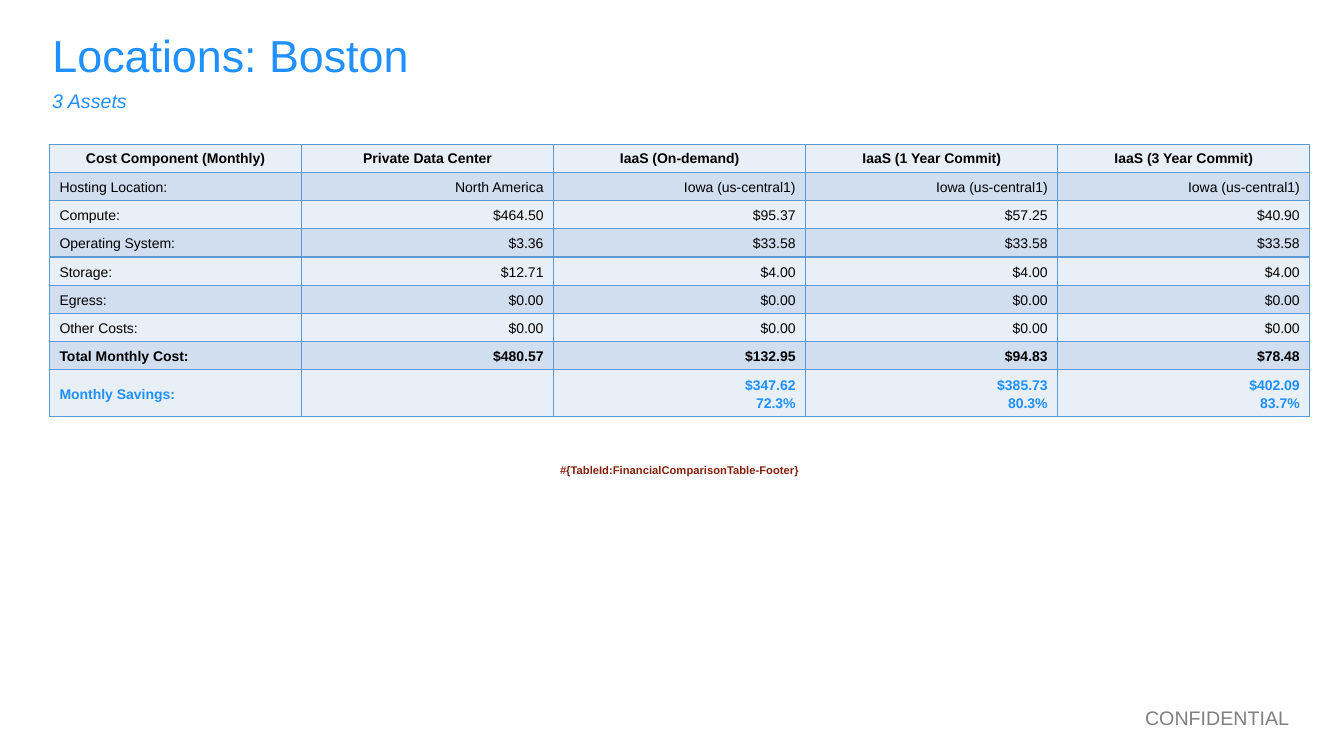
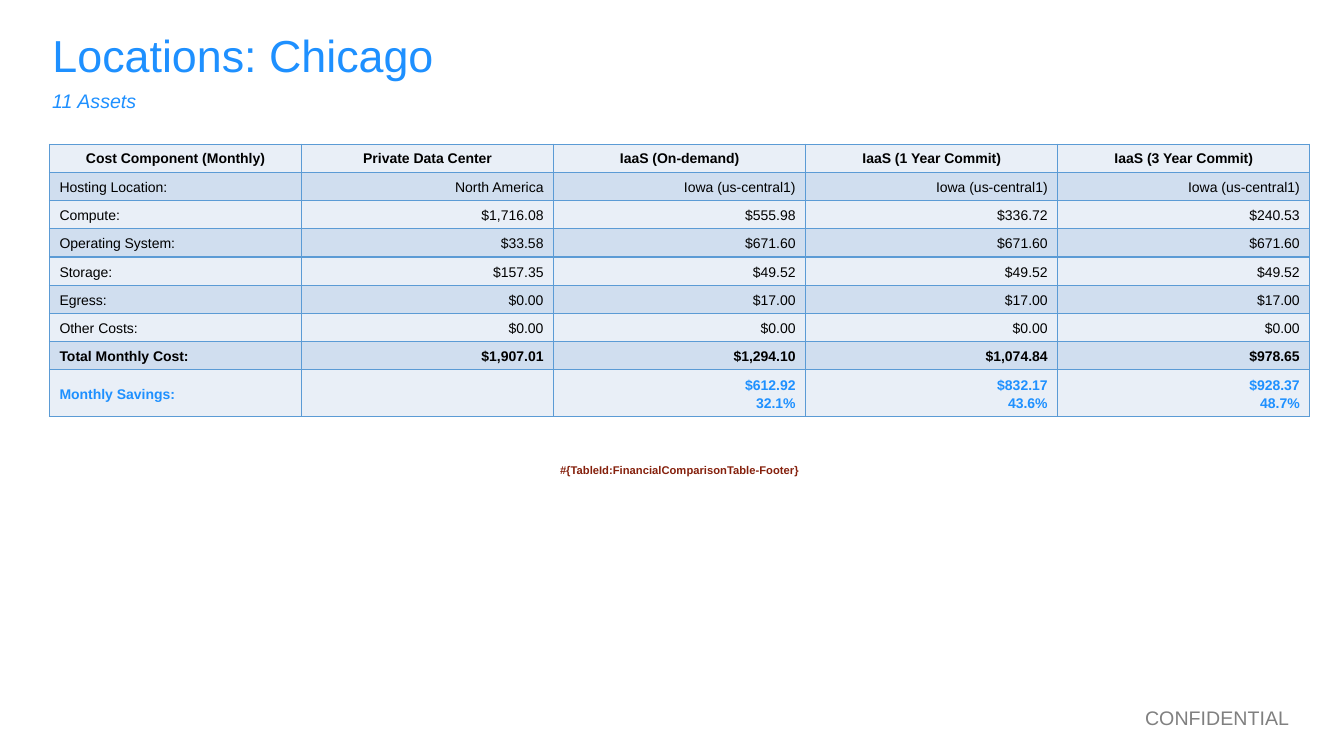
import pptx
import pptx.util
import pptx.dml.color
import pptx.enum.text
import pptx.oxml
import pptx.oxml.ns

Inches, Pt = pptx.util.Inches, pptx.util.Pt
ALIGN = pptx.enum.text.PP_ALIGN
ANCHOR = pptx.enum.text.MSO_ANCHOR

WIDE, HIGH = 13.33, 7.5
COL, ROW = 2.5, 0.28
SAVE_ROW, GAP_ROW = 0.46, 0.39

HUES = {
    "blue": "1E90FF", "grey": "808080", "brown": "85200C", "ink": "000000",
    "line": "5B9BD5", "pale": "E9EFF7", "band": "D0DEEF", "white": "FFFFFF",
}
FONTS = {
    "title": {"size": Pt(32), "hue": "blue"},
    "count": {"size": Pt(14), "hue": "blue", "italic": True},
    "mark": {"size": Pt(14), "hue": "grey"},
    "cell": {"size": Pt(10), "hue": "ink", "bold": False},
    "strong": {"size": Pt(10), "hue": "ink", "bold": True},
    "save": {"size": Pt(10), "hue": "blue", "bold": True},
    "note": {"size": Pt(8), "hue": "brown", "bold": True},
}
BOXES = {
    "title": (0.42, 0.17, 12.5, 0.88),
    "count": (0.42, 0.78, 12.5, 0.88),
    "table": (0.49, 1.43, 5 * COL, 9 * ROW + SAVE_ROW + GAP_ROW),
    "mark": (0.8 * WIDE, 6.95, WIDE / 6, 0.34),
}

HEADS = ["Cost Component (Monthly)", "Private Data Center", "IaaS (On-demand)",
         "IaaS (1 Year Commit)", "IaaS (3 Year Commit)"]
LABELS = ["Hosting Location:", "Compute:", "Operating System:", "Storage:",
          "Egress:", "Other Costs:", "Total Monthly Cost:", "Monthly Savings:"]
HOSTS = ["North America"] + 3 * ["Iowa (us-central1)"]
NOTE = "#{TableId:FinancialComparisonTable-Footer}"
SITES = [
    ("Boston", 3, [
        HOSTS,
        ["$464.50", "$95.37", "$57.25", "$40.90"],
        ["$3.36"] + 3 * ["$33.58"],
        ["$12.71"] + 3 * ["$4.00"],
        4 * ["$0.00"],
        4 * ["$0.00"],
        ["$480.57", "$132.95", "$94.83", "$78.48"],
        ["", "$347.62\n72.3%", "$385.73\n80.3%", "$402.09\n83.7%"],
    ]),
    ("Chicago", 11, [
        HOSTS,
        ["$1,716.08", "$555.98", "$336.72", "$240.53"],
        ["$33.58"] + 3 * ["$671.60"],
        ["$157.35"] + 3 * ["$49.52"],
        ["$0.00"] + 3 * ["$17.00"],
        4 * ["$0.00"],
        ["$1,907.01", "$1,294.10", "$1,074.84", "$978.65"],
        ["", "$612.92\n32.1%", "$832.17\n43.6%", "$928.37\n48.7%"],
    ]),
]


def color(name):
    return pptx.dml.color.RGBColor.from_string(HUES[name])


def write(frame, text, style, align=ALIGN.LEFT, space=None):
    """Fill a text frame, one paragraph for each line of the text."""
    frame.text = text
    for para in frame.paragraphs:
        para.alignment = align
        para.line_spacing = space
        for run in para.runs:
            run.font.name = "Arial"
            for key, value in FONTS[style].items():
                if key == "hue":
                    run.font.color.rgb = color(value)
                else:
                    setattr(run.font, key, value)


def fit(shape, name, inset):
    """Place a text shape in its named box, with text at the top."""
    for key, value in zip(("left", "top", "width", "height"), BOXES[name]):
        setattr(shape, key, Inches(value))
    frame = shape.text_frame
    form = {"word_wrap": True, "vertical_anchor": ANCHOR.TOP,
            "auto_size": pptx.enum.text.MSO_AUTO_SIZE.NONE,
            "margin_left": Inches(0.1), "margin_right": Inches(0.1),
            "margin_top": Inches(inset), "margin_bottom": Inches(inset)}
    for key, value in form.items():
        setattr(frame, key, value)
    return frame


def paint(cell, hue, sides):
    """Draw the given sides of a cell (of LRTB), then its fill."""
    props = cell._tc.get_or_add_tcPr()
    for side in "LRTB":
        if side in sides:
            ink = f'<a:solidFill><a:srgbClr val="{HUES["line"]}"/></a:solidFill>'
        else:
            ink = "<a:noFill/>"
        props.append(pptx.oxml.parse_xml(
            f'<a:ln{side} {pptx.oxml.ns.nsdecls("a")} w="{Pt(1)}">{ink}</a:ln{side}>'))
    cell.fill.solid()
    cell.fill.fore_color.rgb = color(hue)
    cell.vertical_anchor = ANCHOR.MIDDLE


def costs(slide, rows):
    body = [HEADS] + [[label] + row for label, row in zip(LABELS, rows)]
    count = len(body)
    box = [Inches(v) for v in BOXES["table"]]
    table = slide.shapes.add_table(count + 2, len(HEADS), *box).table
    table.first_row = table.horz_banding = False
    for col in table.columns:
        col.width = Inches(COL)
    for row in table.rows:
        row.height = Inches(ROW)
    table.rows[count - 1].height = Inches(SAVE_ROW)
    table.rows[count].height = Inches(GAP_ROW)

    styles = {0: "strong", count - 2: "strong", count - 1: "save"}
    for r, texts in enumerate(body):
        for c, text in enumerate(texts):
            cell = table.cell(r, c)
            paint(cell, "band" if r % 2 else "pale", "LRTB")
            align = ALIGN.CENTER if r == 0 else ALIGN.RIGHT if c else ALIGN.LEFT
            write(cell.text_frame, text, styles.get(r, "cell"), align,
                  1.15 if r else None)

    for r, sides in ((count, "T"), (count + 1, "")):
        for c in range(len(HEADS)):
            cell = table.cell(r, c)
            paint(cell, "white", sides)
            if r == count:
                cell.margin_top = cell.margin_bottom = 0
        table.cell(r, 0).merge(table.cell(r, len(HEADS) - 1))
    write(table.cell(count + 1, 0).text_frame, NOTE, "note", ALIGN.CENTER, 1.15)


def label(slide, name, text, inset, align=ALIGN.LEFT):
    shape = slide.shapes.add_textbox(0, 0, 0, 0)
    write(fit(shape, name, inset), text, name, align)


def site(deck, city, count, rows):
    slide = deck.slides.add_slide(deck.slide_layouts[5])
    write(fit(slide.shapes.title, "title", 0.1), f"Locations: {city}", "title")
    label(slide, "count", f"{count} Assets", 0.1)
    costs(slide, rows)
    label(slide, "mark", "CONFIDENTIAL", 0.05, ALIGN.RIGHT)


def main():
    deck = pptx.Presentation()
    deck.slide_width, deck.slide_height = Inches(WIDE), Inches(HIGH)
    for city, count, rows in SITES:
        site(deck, city, count, rows)
    deck.save("out.pptx")


if __name__ == "__main__":
    main()
